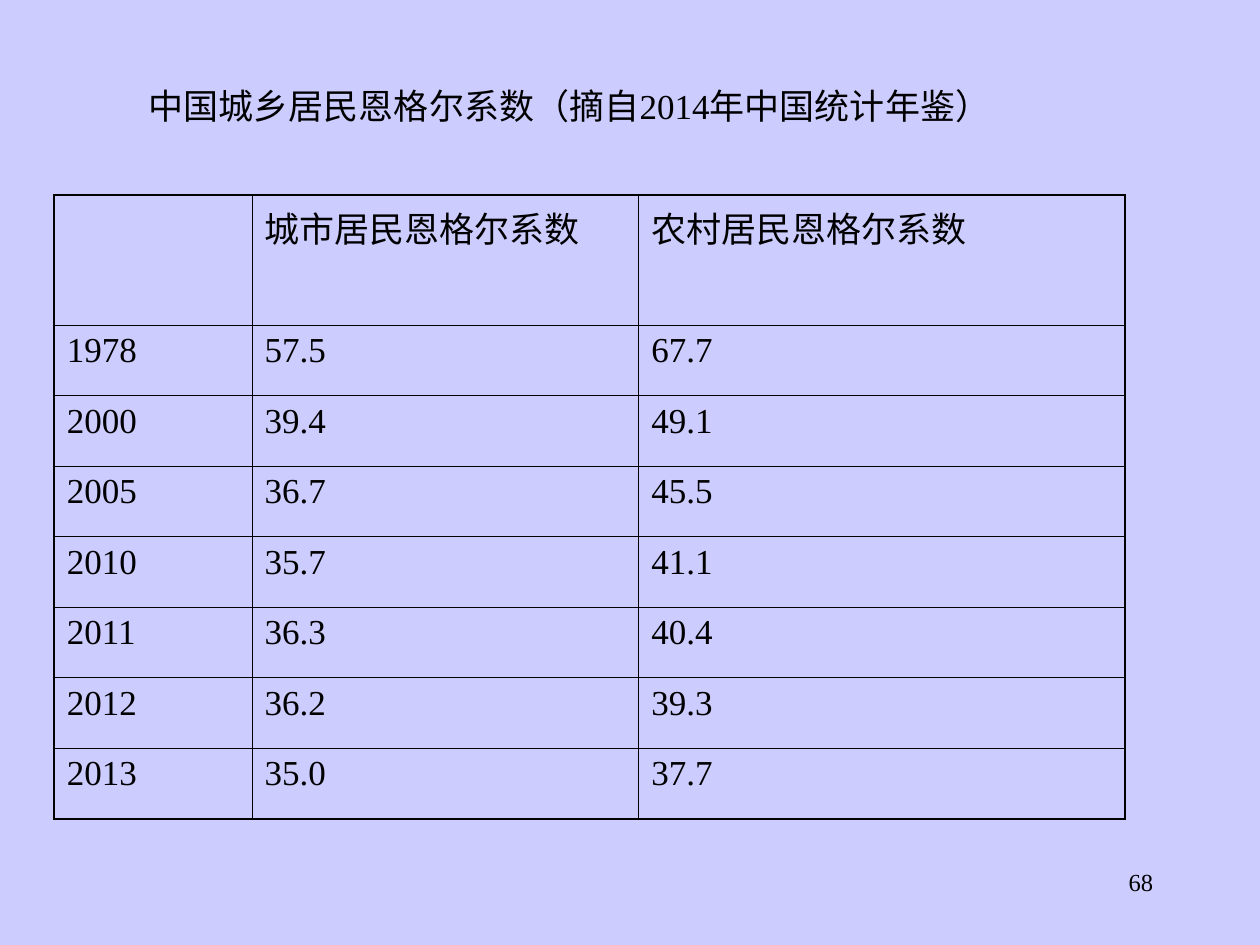
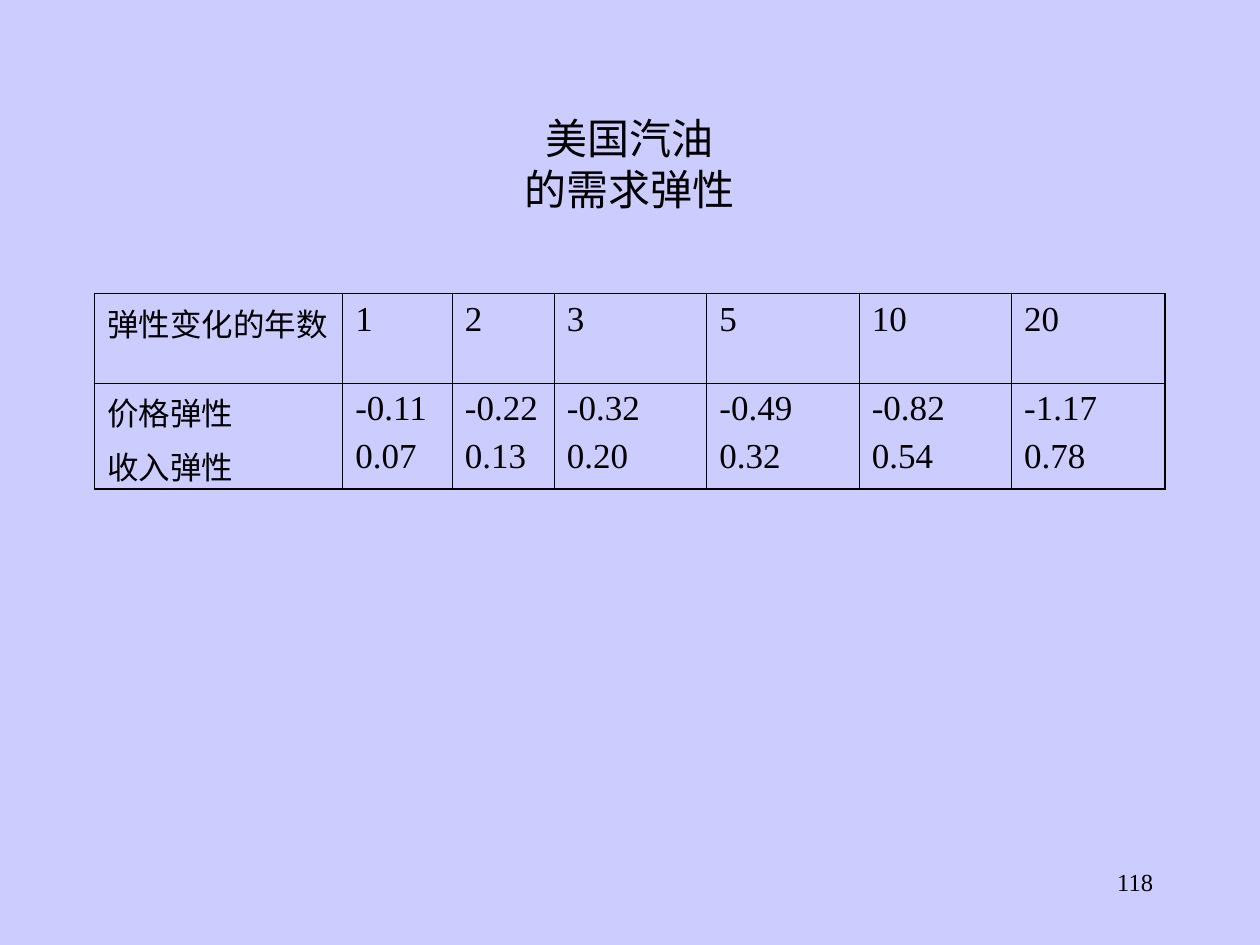
from lxml import etree
from pptx import Presentation
from pptx.dml.color import RGBColor
from pptx.enum.text import MSO_ANCHOR, PP_ALIGN
from pptx.oxml.ns import qn
from pptx.util import Inches, Pt

CENTER, RIGHT, LEFT = PP_ALIGN.CENTER, PP_ALIGN.RIGHT, PP_ALIGN.LEFT
MIDDLE, TOP = MSO_ANCHOR.MIDDLE, MSO_ANCHOR.TOP
LAVENDER = RGBColor(0xCC, 0xCC, 0xFF)
BLACK = RGBColor(0, 0, 0)
FONT = "Times New Roman"
OUTER_LINE, INNER_LINE = 1.08, 0.45
TITLE_SIZE = (8.5, 1.25)
NUMBER_BOX = (7.17, 6.83, 2.08, 0.5)
VALUE_SIZE = 20

ENGEL_ROWS = [
    ("", "城市居民恩格尔系数", "农村居民恩格尔系数"),
    ("1978", "57.5", "67.7"),
    ("2000", "39.4", "49.1"),
    ("2005", "36.7", "45.5"),
    ("2010", "35.7", "41.1"),
    ("2011", "36.3", "40.4"),
    ("2012", "36.2", "39.3"),
    ("2013", "35.0", "37.7"),
]
ELASTICITY_ROWS = [
    ("弹性变化的年数", "1", "2", "3", "5", "10", "20"),
    ("价格弹性\n收入弹性", "-0.11\n0.07", "-0.22\n0.13", "-0.32\n0.20",
     "-0.49\n0.32", "-0.82\n0.54", "-1.17\n0.78"),
]
PAGES = [
    {
        "number": "68",
        "title": "中国城乡居民恩格尔系数（摘自2014年中国统计年鉴）",
        "title_at": (0.27, 0.21),
        "title_size": 20,
        "rows": ENGEL_ROWS,
        "table_at": (0.43, 1.55),
        "widths": [1.57, 3.07, 3.86],
        "heights": [1.03] + [0.56] * 7,
        "label_size": 20,
    },
    {
        "number": "118",
        "title": "美国汽油\v的需求弹性",
        "title_at": (0.75, 0.67),
        "title_size": 24,
        "rows": ELASTICITY_ROWS,
        "table_at": (0.75, 2.33),
        "widths": [1.97, 0.87, 0.81] + [1.21] * 3 + [1.22],
        "heights": [0.71, 0.84],
        "label_size": 18,
    },
]


def write(frame, text, size, align):
    frame.text = text
    for index, para in enumerate(frame.paragraphs):
        para.alignment = align
        para.font.size = Pt(size)
        para.font.name = FONT
        para.font.color.rgb = BLACK
        if index:
            para.space_before = Pt(size / 4)


def add_text(page, place, text, size, align, anchor):
    box = page.shapes.add_textbox(*map(Inches, place))
    box.text_frame.word_wrap = True
    box.text_frame.vertical_anchor = anchor
    write(box.text_frame, text, size, align)


def draw_borders(cell, outer_sides):
    properties = cell._tc.get_or_add_tcPr()
    for side in "LRTB":
        width = OUTER_LINE if side in outer_sides else INNER_LINE
        line = etree.SubElement(properties, qn(f"a:ln{side}"), w=str(Pt(width)))
        fill = etree.SubElement(line, qn("a:solidFill"))
        etree.SubElement(fill, qn("a:srgbClr"), val=str(BLACK))


def add_data_table(page, rows, place, widths, heights, label_size):
    size = (sum(widths), sum(heights))
    table = page.shapes.add_table(
        len(heights), len(widths), *map(Inches, place + size)).table
    table.first_row = table.horz_banding = False
    for column, width in zip(table.columns, widths):
        column.width = Inches(width)
    for row, height in zip(table.rows, heights):
        row.height = Inches(height)
    last_row, last_column = len(heights) - 1, len(widths) - 1
    for r, texts in enumerate(rows):
        for c, text in enumerate(texts):
            cell = table.cell(r, c)
            edges = {"L": c == 0, "R": c == last_column,
                     "T": r == 0, "B": r == last_row}
            draw_borders(cell, [side for side in edges if edges[side]])
            cell.fill.background()
            write(cell.text_frame, text, VALUE_SIZE if c else label_size, LEFT)


def main():
    deck = Presentation()
    deck.slide_width, deck.slide_height = Inches(10), Inches(7.5)
    background = deck.slide_master.background.fill
    background.solid()
    background.fore_color.rgb = LAVENDER
    for content in PAGES:
        page = deck.slides.add_slide(deck.slide_layouts[6])
        add_text(page, NUMBER_BOX, content["number"], 14, RIGHT, TOP)
        add_text(page, content["title_at"] + TITLE_SIZE, content["title"],
                 content["title_size"], CENTER, MIDDLE)
        add_data_table(page, content["rows"], content["table_at"],
                       content["widths"], content["heights"],
                       content["label_size"])
    deck.save("out.pptx")


if __name__ == "__main__":
    main()
